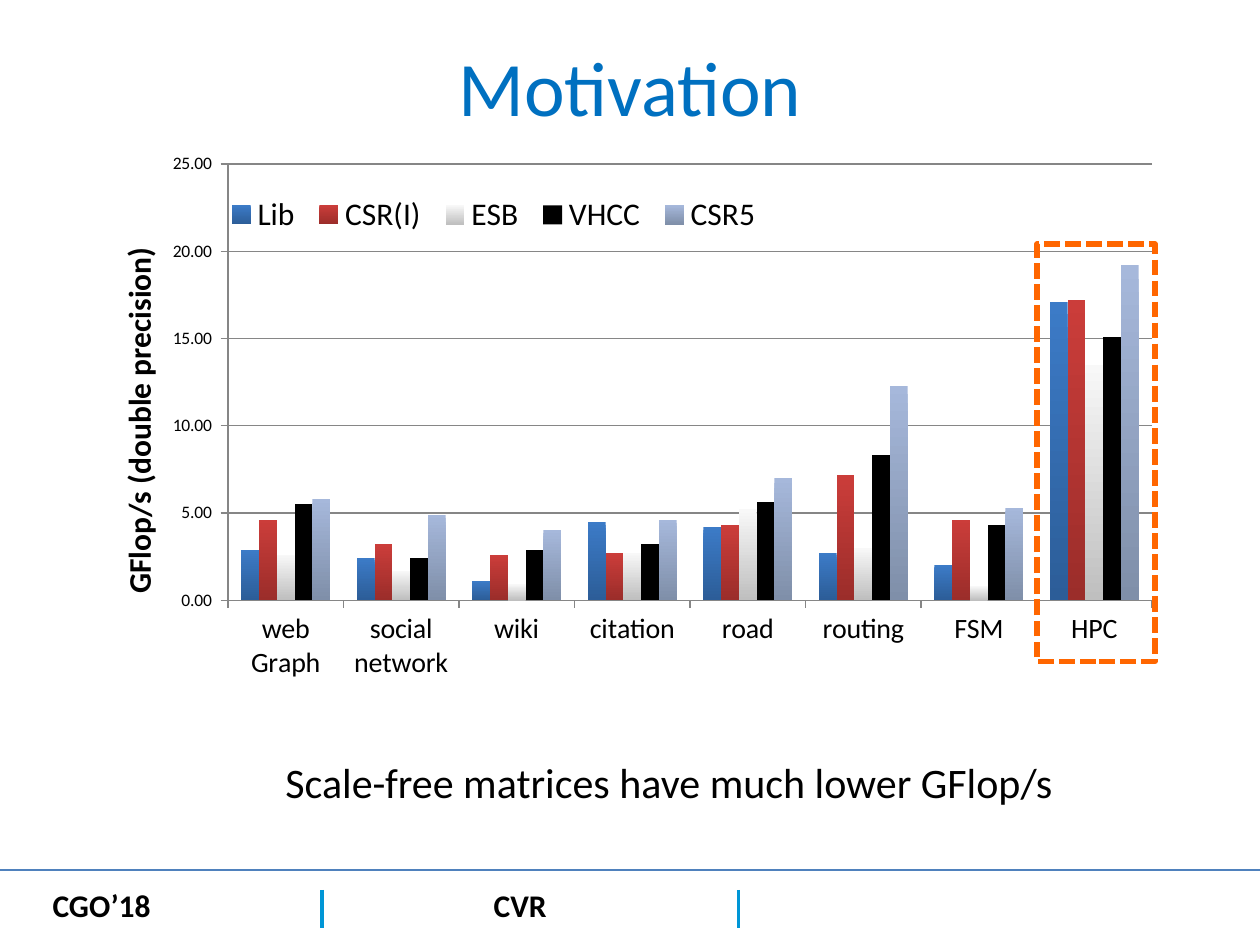
from lxml import etree
from pptx import Presentation
from pptx.chart.data import CategoryChartData
from pptx.dml.color import RGBColor
from pptx.enum.chart import XL_CHART_TYPE, XL_LEGEND_POSITION, XL_TICK_MARK
from pptx.enum.dml import MSO_LINE
from pptx.enum.shapes import MSO_CONNECTOR, MSO_SHAPE
from pptx.enum.text import MSO_ANCHOR, PP_ALIGN
from pptx.oxml.ns import qn
from pptx.util import Pt

COLUMN = XL_CHART_TYPE.COLUMN_CLUSTERED
RIGHT = XL_LEGEND_POSITION.RIGHT
OUTSIDE = XL_TICK_MARK.OUTSIDE
DASH = MSO_LINE.SQUARE_DOT
STRAIGHT = MSO_CONNECTOR.STRAIGHT
RECT = MSO_SHAPE.RECTANGLE
MIDDLE = MSO_ANCHOR.MIDDLE
CENTER = PP_ALIGN.CENTER

BLACK = RGBColor(0x00, 0x00, 0x00)
BLUE = RGBColor(0x00, 0x70, 0xC0)
CYAN = RGBColor(0x00, 0x96, 0xD6)
STEEL = RGBColor(0x4F, 0x81, 0xBD)
ORANGE = RGBColor(0xFF, 0x66, 0x00)
GRAY = RGBColor(0x86, 0x86, 0x86)
BLUES = RGBColor(0x3C, 0x7B, 0xC7), RGBColor(0x2C, 0x5D, 0x98)
REDS = RGBColor(0xCB, 0x3D, 0x3A), RGBColor(0x9B, 0x2D, 0x2A)
GRAYS = RGBColor(0xF8, 0xF8, 0xF8), RGBColor(0xBF, 0xBF, 0xBF)
BLACKS = BLACK, BLACK
PALES = RGBColor(0xA6, 0xB8, 0xDB), RGBColor(0x7F, 0x8F, 0xA9)

FACE = "Calibri"
GROUPS = ["web Graph", "social network", "wiki", "citation",
          "road", "routing", "FSM", "HPC"]
SERIES = [
    ("Lib", BLUES, [2.9, 2.4, 1.1, 4.5, 4.2, 2.7, 2, 17.1]),
    ("CSR(I)", REDS, [4.6, 3.2, 2.6, 2.7, 4.3, 7.2, 4.6, 17.2]),
    ("ESB", GRAYS, [2.6, 1.7, 0.9, 2.7, 5.2, 3, 0.8, 13.5]),
    ("VHCC", BLACKS, [5.5, 2.4, 2.9, 3.2, 5.6, 8.3, 4.3, 15.1]),
    ("CSR5", PALES, [5.8, 4.9, 4, 4.6, 7, 12.3, 5.3, 19.2]),
]


def assign(item, **values):
    for name, value in values.items():
        setattr(item, name, value)


def style(font, size, color=BLACK, bold=False):
    assign(font, name=FACE, size=Pt(size), bold=bold)
    font.color.rgb = color


def area(*nums):
    return [Pt(num) for num in nums]


def add_title(slide, text, box):
    title = slide.shapes.title
    assign(title, **dict(zip(("left", "top", "width", "height"), area(*box))))
    frame = title.text_frame
    assign(frame, text=text, vertical_anchor=MIDDLE)
    line = frame.paragraphs[0]
    line.alignment = CENTER
    style(line.font, 44, BLUE)


def add_text(slide, text, box, size, bold=False, wrap=True):
    frame = slide.shapes.add_textbox(*area(*box)).text_frame
    assign(frame, text=text, word_wrap=wrap)
    style(frame.paragraphs[0].font, size, bold=bold)


def add_line(slide, ends, color, width):
    line = slide.shapes.add_connector(STRAIGHT, *area(*ends))
    line.line.color.rgb = color
    line.line.width = Pt(width)
    etree.SubElement(line._element.spPr, qn("a:effectLst"))


def add_frame(slide, box):
    shape = slide.shapes.add_shape(RECT, *area(*box))
    shape.shadow.inherit = False
    shape.fill.background()
    shape.line.color.rgb = ORANGE
    assign(shape.line, width=Pt(3), dash_style=DASH)


def place(part, index, **values):
    for old in part.findall(qn("c:layout")):
        part.remove(old)
    layout = etree.Element(qn("c:layout"))
    inner = etree.SubElement(layout, qn("c:manualLayout"))
    for name, value in values.items():
        etree.SubElement(inner, qn("c:" + name)).set("val", str(value))
    part.insert(index, layout)


def shade(fill, colors):
    if colors[0] == colors[1]:
        fill.solid()
        fill.fore_color.rgb = colors[0]
        return
    fill.gradient()
    fill.gradient_angle = 270
    for stop, color, spot in zip(fill.gradient_stops, colors, (0, 1)):
        stop.color.rgb = color
        stop.position = spot


def set_axes(chart):
    cat, val = chart.category_axis, chart.value_axis
    assign(val, minimum_scale=0, maximum_scale=25, major_unit=5,
           has_major_gridlines=True, has_title=True)
    assign(val.tick_labels, number_format="0.00_ ",
           number_format_is_linked=False)
    for axis, size in ((cat, 16), (val, 10)):
        axis.major_tick_mark = OUTSIDE
        axis.format.line.color.rgb = GRAY
        style(axis.tick_labels.font, size)
    val.major_gridlines.format.line.color.rgb = GRAY
    title = val.axis_title
    title.text_frame.text = "GFlop/s (double precision)"
    style(title.text_frame.paragraphs[0].runs[0].font, 18, bold=True)
    place(title._element, 1, xMode="edge", yMode="edge", x=0, y=0.16)


def set_legend(chart):
    chart.has_legend = True
    legend = chart.legend
    assign(legend, position=RIGHT, include_in_layout=False)
    style(legend.font, 18)
    place(legend._element, 1, xMode="edge", yMode="edge",
          x=0.1, y=0.08, w=0.52, h=0.07)


def add_chart(slide, box):
    data = CategoryChartData(number_format="0.0")
    data.categories = GROUPS
    for name, _, values in SERIES:
        data.add_series(name, values)
    chart = slide.shapes.add_chart(COLUMN, *area(*box), data).chart
    chart.has_title = False
    style(chart.font, 10)
    plot = chart.plots[0]
    assign(plot, gap_width=150, overlap=0, vary_by_categories=False)
    for bars, (_, colors, _) in zip(plot.series, SERIES):
        shade(bars.format.fill, colors)
    set_axes(chart)
    set_legend(chart)
    place(chart._chartSpace.chart.plotArea, 0, layoutTarget="inner",
          xMode="edge", yMode="edge", x=0.11, y=0.03, w=0.87, h=0.73)


def main():
    deck = Presentation()
    assign(deck, slide_width=Pt(720), slide_height=Pt(540))
    slide = deck.slides.add_slide(deck.slide_layouts[5])
    for left in (422, 184):
        add_line(slide, (left, 508.5, left, 530.5), CYAN, 2)
    add_line(slide, (0, 497, 720, 497), STEEL, 1)
    for text, left, width in (("CVR", 275, 45.5), ("CGO’18", 23, 71.5)):
        add_text(slide, text, (left, 502.5, width, 29), 18, True, False)
    add_title(slide, "Motivation", (36, 21.5, 648, 55.5))
    add_text(slide, "Scale-free matrices have much lower GFlop/s",
             (156, 428.5, 481.5, 42.5), 24)
    add_chart(slide, (63.5, 83.5, 607, 341.5))
    add_frame(slide, (592.5, 139.5, 67.5, 238.5))
    deck.save("out.pptx")


if __name__ == "__main__":
    main()
